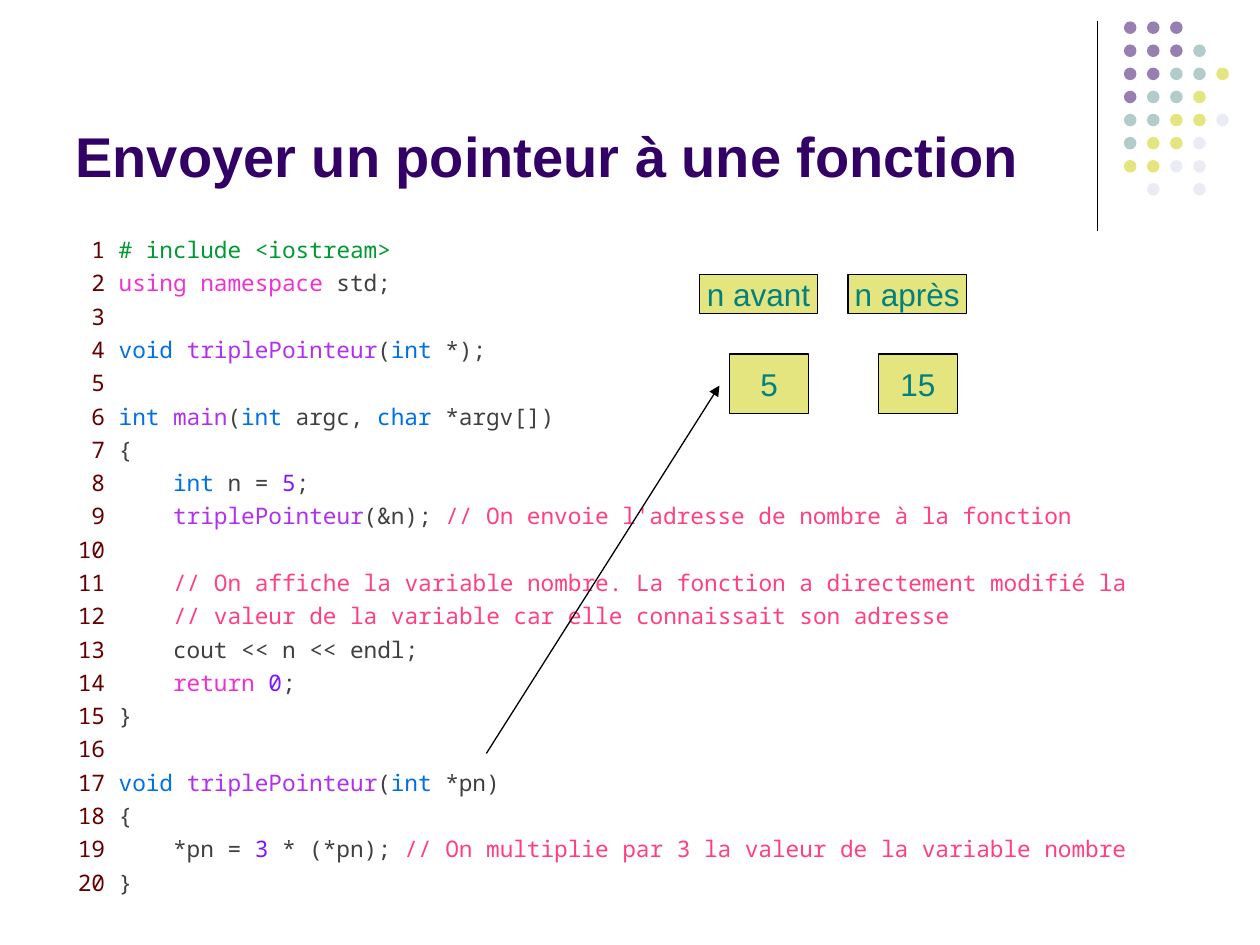
from dataclasses import dataclass

from lxml import etree
from pptx import Presentation
from pptx import util as u
from pptx.dml.color import RGBColor
from pptx.enum import shapes, text
from pptx.oxml import ns

COLOURS = {
    "black": "000000",
    "purple": "330066",
    "teal": "669999",
    "yellow": "CCCC00",
    "lavender": "D8D8EC",
    "value": "008080",
    "number": "660000",
    "directive": "009933",
    "keyword": "F030D0",
    "type": "0070E6",
    "name": "B030F0",
    "plain": "404040",
    "literal": "8016FF",
    "comment": "FF4080",
}
DOT_KEYS = {"P": "purple", "T": "teal", "Y": "yellow", "L": "lavender"}
DOT_ROWS = ["PPP", "PPPT", "PPTTY", "PTTY", "TTYYL", "TYYL", "YYLL", ".L.L"]
DOT_PITCH = 0.55 / 3

# Each code line is a list of (colour key, text) spans
CODE = [
    [("directive", "# include <iostream>")],
    [("keyword", "using namespace "), ("plain", "std;")],
    [],
    [("type", "void "), ("name", "triplePointeur"), ("plain", "("),
     ("type", "int "), ("plain", "*);")],
    [],
    [("type", "int "), ("name", "main"), ("plain", "("), ("type", "int "),
     ("plain", "argc, "), ("type", "char "), ("plain", "*argv[])")],
    [("plain", "{")],
    [("type", "    int "), ("plain", "n = "), ("literal", "5"), ("plain", ";")],
    [("name", "    triplePointeur"), ("plain", "(&n); "),
     ("comment", "// On envoie l'adresse de nombre à la fonction")],
    [],
    [("comment", "    // On affiche la variable nombre. "
                 "La fonction a directement modifié la")],
    [("comment", "    // valeur de la variable car elle connaissait son adresse")],
    [("plain", "    cout << n << endl;")],
    [("keyword", "    return "), ("literal", "0"), ("plain", ";")],
    [("plain", "}")],
    [],
    [("type", "void "), ("name", "triplePointeur"), ("plain", "("),
     ("type", "int "), ("plain", "*pn)")],
    [("plain", "{")],
    [("plain", "    *pn = "), ("literal", "3 "), ("plain", "* (*pn); "),
     ("comment", "// On multiplie par 3 la valeur de la variable nombre")],
    [("plain", "}")],
]


@dataclass
class Area:
    left: float
    top: float
    width: float
    height: float

    def lengths(self) -> list:
        return [u.Inches(v) for v in (self.left, self.top, self.width, self.height)]


@dataclass
class Style:
    font: str
    size: float
    bold: bool = False


TITLE = Style("Arial", 32, True)
SOURCE = Style("Noto Sans Mono", 13)
LABEL = Style("Arial", 18)


def colour(key: str) -> RGBColor:
    return RGBColor.from_string(COLOURS[key])


def add_span(para, words: str, key: str, style: Style) -> None:
    span = para.add_run()
    span.text = words
    span.font.name = style.font
    span.font.size = u.Pt(style.size)
    span.font.bold = style.bold
    span.font.color.rgb = colour(key)


def add_filled(parent, kind, area: Area, key: str):
    """Add a half-transparent shape without outline or shadow."""
    shape = parent.add_shape(kind, *area.lengths())
    shape.shadow.inherit = False
    shape.fill.solid()
    shape.fill.fore_color.rgb = colour(key)
    tint = shape._element.spPr.find(".//" + ns.qn("a:srgbClr"))
    etree.SubElement(tint, ns.qn("a:alpha"), val="50000")
    shape.line.fill.background()
    return shape


def add_value_box(page, area: Area, words: str) -> None:
    box = add_filled(page.shapes, shapes.MSO_SHAPE.RECTANGLE, area, "yellow")
    box.line.color.rgb = colour("black")
    box.line.width = u.Pt(0.75)
    frame = box.text_frame
    frame.word_wrap = False
    frame.vertical_anchor = text.MSO_ANCHOR.MIDDLE
    para = frame.paragraphs[0]
    para.alignment = text.PP_ALIGN.CENTER
    add_span(para, words, "value", LABEL)


def add_line(page, start: tuple, end: tuple, arrow: bool = False) -> None:
    line = page.shapes.add_connector(
        shapes.MSO_CONNECTOR.STRAIGHT, *[u.Inches(v) for v in (*start, *end)])
    line.line.color.rgb = colour("black")
    line.line.width = u.Pt(0.75)
    if arrow:
        etree.SubElement(line.line._get_or_add_ln(), ns.qn("a:tailEnd"),
                         type="triangle")
    etree.SubElement(line._element.spPr, ns.qn("a:effectLst"))


def add_frame(page, area: Area):
    frame = page.shapes.add_textbox(*area.lengths()).text_frame
    frame.word_wrap = True
    return frame


def add_dots(page) -> None:
    group = page.shapes.add_group_shape()
    for row, marks in enumerate(DOT_ROWS):
        for column, mark in enumerate(marks):
            if mark in DOT_KEYS:
                area = Area(8.92 + column * DOT_PITCH, 0.17 + row * DOT_PITCH,
                            0.1, 0.1)
                add_filled(group.shapes, shapes.MSO_SHAPE.OVAL, area,
                           DOT_KEYS[mark])


def add_code(page) -> None:
    frame = add_frame(page, Area(0.5, 1.88, 9, 5.27))
    for number, spans in enumerate(CODE, start=1):
        para = frame.paragraphs[0] if number == 1 else frame.add_paragraph()
        para.line_spacing = u.Pt(11.5)
        para.space_before = u.Pt(7.5)
        layout = para._p.get_or_add_pPr()
        layout.set("marL", str(u.Inches(0.37)))
        layout.set("indent", str(u.Inches(-0.35)))
        add_span(para, f"{number:>2}" + (" " if spans else ""), "number", SOURCE)
        for key, words in spans:
            add_span(para, words, key, SOURCE)


def main() -> None:
    deck = Presentation()
    deck.slide_width, deck.slide_height = u.Inches(10), u.Inches(7.5)
    page = deck.slides.add_slide(deck.slide_layouts[6])

    # Corner decoration
    add_line(page, (8.71, 0.17), (8.71, 1.83))
    add_dots(page)

    # Title
    frame = add_frame(page, Area(0.5, 0.13, 8.25, 1.42))
    frame.vertical_anchor = text.MSO_ANCHOR.BOTTOM
    add_span(frame.paragraphs[0], "Envoyer un pointeur à une fonction",
             "purple", TITLE)

    # Source code
    add_code(page)

    # Value of n before and after the call
    for column, (label, value) in enumerate([("n avant", "5"), ("n après", "15")]):
        shift = column * 1.18
        add_value_box(page, Area(5.79 + shift, 2.81, 0.63, 0.47), value)
        add_value_box(page, Area(5.55 + shift, 2.18, 0.94, 0.31), label)

    # Arrow from the pointer to the value
    add_line(page, (3.86, 5.98), (5.71, 3.06), arrow=True)

    deck.save("out.pptx")


if __name__ == "__main__":
    main()
